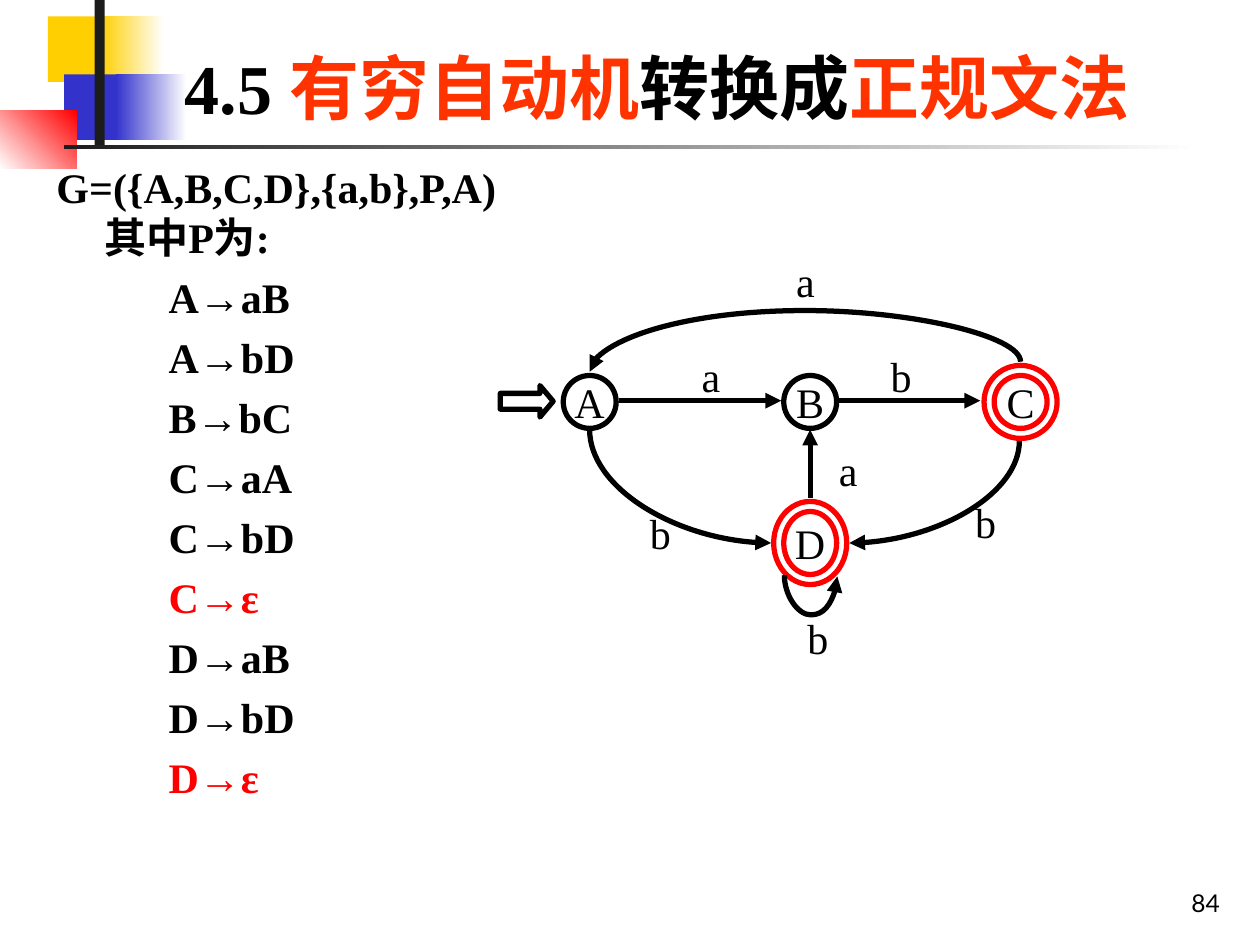
from lxml.etree import SubElement as Sub
from pptx import Presentation
from pptx.dml.color import RGBColor
from pptx.enum.shapes import MSO_CONNECTOR as LINE, MSO_SHAPE as SHAPE
from pptx.enum.text import MSO_ANCHOR as ANCHOR, PP_ALIGN as ALIGN
from pptx.oxml.ns import qn
from pptx.util import Inches, Pt

SERIF = "Times New Roman"
BLACK, RED, ORANGE = "000000", "FF0000", "FF3300"
WHITE, YELLOW, BLUE, DARK = "FFFFFF", "FFCF01", "3333CC", "1C1C1C"

# Content
TITLE = [("4.5 ", BLACK), ("有穷自动机", ORANGE), ("转换成", BLACK), ("正规文法", ORANGE)]
INTRO = ["G=({A,B,C,D},{a,b},P,A)", "其中P为:"]
RULES = ["A→aB", "A→bD", "B→bC", "C→aA", "C→bD", "C→ε", "D→aB", "D→bD", "D→ε"]

# Decoration: box, colours, gradient angle
DECOR = [
    ((0.38, 0.13, 0.67, 0.52), [YELLOW], 0),
    ((0.8, 0.13, 0.5, 0.52), [YELLOW, WHITE], 0),
    ((0.51, 0.59, 0.64, 0.52), [BLUE], 0),
    ((0.92, 0.59, 0.56, 0.52), [BLUE, WHITE], 0),
    ((0, 0.88, 0.61, 0.46), [WHITE, RED], 45),
    ((0.75, 0, 0.08, 1.15), [DARK], 0),
    ((0.51, 1.15, 9, 0.03), [DARK, WHITE], 0),
]

# States: name, centre, height, final
STATES = [
    ("A", 4.68, 3.19, 0.42, False),
    ("B", 6.43, 3.19, 0.42, False),
    ("C", 8.1, 3.19, 0.42, True),
    ("D", 6.43, 4.31, 0.5, True),
]
WIDE, RING = 0.42, 0.08

# Straight edges: from and to
STRAIGHT = [
    (4.91, 3.18, 6.2, 3.18),
    (6.66, 3.18, 7.78, 3.18),
    (6.43, 3.95, 6.43, 3.41),
]
# Curved edges: from and to before turning, turn, preset, bend
CURVES = [
    ((6.43, 4.62, 6.35, 1.2), 270, "curvedConnector3", -5.08),
    ((5.85, 3.14, 4.95, 4.58), 270, "curvedConnector2", None),
    ((6.44, 4.36, 6.43, 4.78), 270, "curvedConnector3", 32),
    ((7.01, 3.23, 7.82, 4.58), 90, "curvedConnector2", None),
]
LABELS = [
    ("a", 6.22, 1.98), ("a", 5.47, 2.73), ("b", 6.97, 2.73), ("a", 6.56, 3.48),
    ("b", 7.64, 3.89), ("b", 5.06, 3.98), ("b", 6.31, 4.81),
]


def rgb(code):
    return RGBColor.from_string(code)


def write(para, text, size, color=BLACK, bold=False, face=SERIF):
    run = para.add_run()
    run.text = text
    font = run.font
    font.name, font.size, font.bold = face, Pt(size), bold
    font.color.rgb = rgb(color)


def indent(para, left, first):
    props = para._p.get_or_add_pPr()
    props.set("marL", str(Inches(left)))
    props.set("indent", str(Inches(first)))


def text_box(slide, box):
    frame = slide.shapes.add_textbox(*map(Inches, box)).text_frame
    frame.word_wrap = True
    return frame


def block(slide, box, colors, angle):
    shape = slide.shapes.add_shape(SHAPE.RECTANGLE, *map(Inches, box))
    shape.shadow.inherit = False
    shape.line.fill.background()
    if len(colors) == 1:
        shape.fill.solid()
        shape.fill.fore_color.rgb = rgb(colors[0])
        return
    shape.fill.gradient()
    shape.fill.gradient_angle = angle
    for stop, color, pos in zip(shape.fill.gradient_stops, colors, (0, 1)):
        stop.color.rgb = rgb(color)
        stop.position = pos


def outline(slide, kind, box, color):
    shape = slide.shapes.add_shape(kind, *map(Inches, box))
    shape.shadow.inherit = False
    shape.fill.background()
    shape.line.color.rgb = rgb(color)
    shape.line.width = Pt(3)
    return shape


def state(slide, name, x, y, high, final):
    color = RED if final else BLACK
    for pad in ([RING, 0] if final else [0]):
        w, h = WIDE + 2 * pad, high + 2 * pad
        oval = outline(slide, SHAPE.OVAL, (x - w / 2, y - h / 2, w, h), color)
    frame = oval.text_frame
    frame.word_wrap = False
    frame.vertical_anchor = ANCHOR.MIDDLE
    para = frame.paragraphs[0]
    para.alignment = ALIGN.CENTER
    write(para, name, 24)


def edge(slide, ends, turn=0, preset=None, bend=None):
    kind = LINE.CURVE if preset else LINE.STRAIGHT
    link = slide.shapes.add_connector(kind, *map(Inches, ends))
    link.line.color.rgb = rgb(BLACK)
    link.line.width = Pt(3)
    props = link.element.spPr
    Sub(props.find(qn("a:ln")), qn("a:tailEnd"), type="triangle")
    Sub(props, qn("a:effectLst"))
    if preset:
        props.find(qn("a:xfrm")).set("rot", str(turn * 60000))
        geom = props.find(qn("a:prstGeom"))
        geom.set("prst", preset)
        if bend is not None:
            Sub(geom.find(qn("a:avLst")), qn("a:gd"), name="adj1",
                fmla=f"val {round(bend * 100000)}")


def main():
    prs = Presentation()
    prs.slide_width, prs.slide_height = Inches(10), Inches(7.5)
    slide = prs.slides.add_slide(prs.slide_layouts[5])

    for item in DECOR:
        block(slide, *item)

    # Title, in front of the decoration
    title = slide.shapes.title
    title.element.getparent().append(title.element)
    title.left, title.top, title.width, title.height = map(Inches, (1.26, 0.23, 7.91, 0.84))
    title.text_frame.vertical_anchor = ANCHOR.BOTTOM
    para = title.text_frame.paragraphs[0]
    para.alignment = ALIGN.CENTER
    for text, color in TITLE:
        write(para, text, 40, color, True)

    # Grammar
    frame = text_box(slide, (0.35, 1.23, 3.94, 5.48))
    para = frame.paragraphs[0]
    indent(para, 0.38, -0.38)
    write(para, INTRO[0], 24, bold=True)
    para.add_line_break()
    write(para, INTRO[1], 24, bold=True)
    for rule in RULES:
        para = frame.add_paragraph()
        para.level = 1
        para.space_before = Pt(5.5)
        indent(para, 0.89, 0)
        write(para, rule, 24, RED if "ε" in rule else BLACK, True)

    # Automaton
    for item in STATES:
        state(slide, *item)
    for ends in STRAIGHT:
        edge(slide, ends)
    for item in CURVES:
        edge(slide, *item)
    arrow = outline(slide, SHAPE.RIGHT_ARROW, (3.97, 3.06, 0.42, 0.25), BLACK)
    arrow.adjustments[1] = 0.42
    for text, x, y in LABELS:
        write(text_box(slide, (x, y, 0.33, 0.5)).paragraphs[0], text, 24)

    # Page number
    frame = text_box(slide, (7.7, 6.83, 2.08, 0.5))
    frame.vertical_anchor = ANCHOR.BOTTOM
    frame.paragraphs[0].alignment = ALIGN.RIGHT
    write(frame.paragraphs[0], "84", 14, face="Lato")

    prs.save("out.pptx")


if __name__ == "__main__":
    main()
